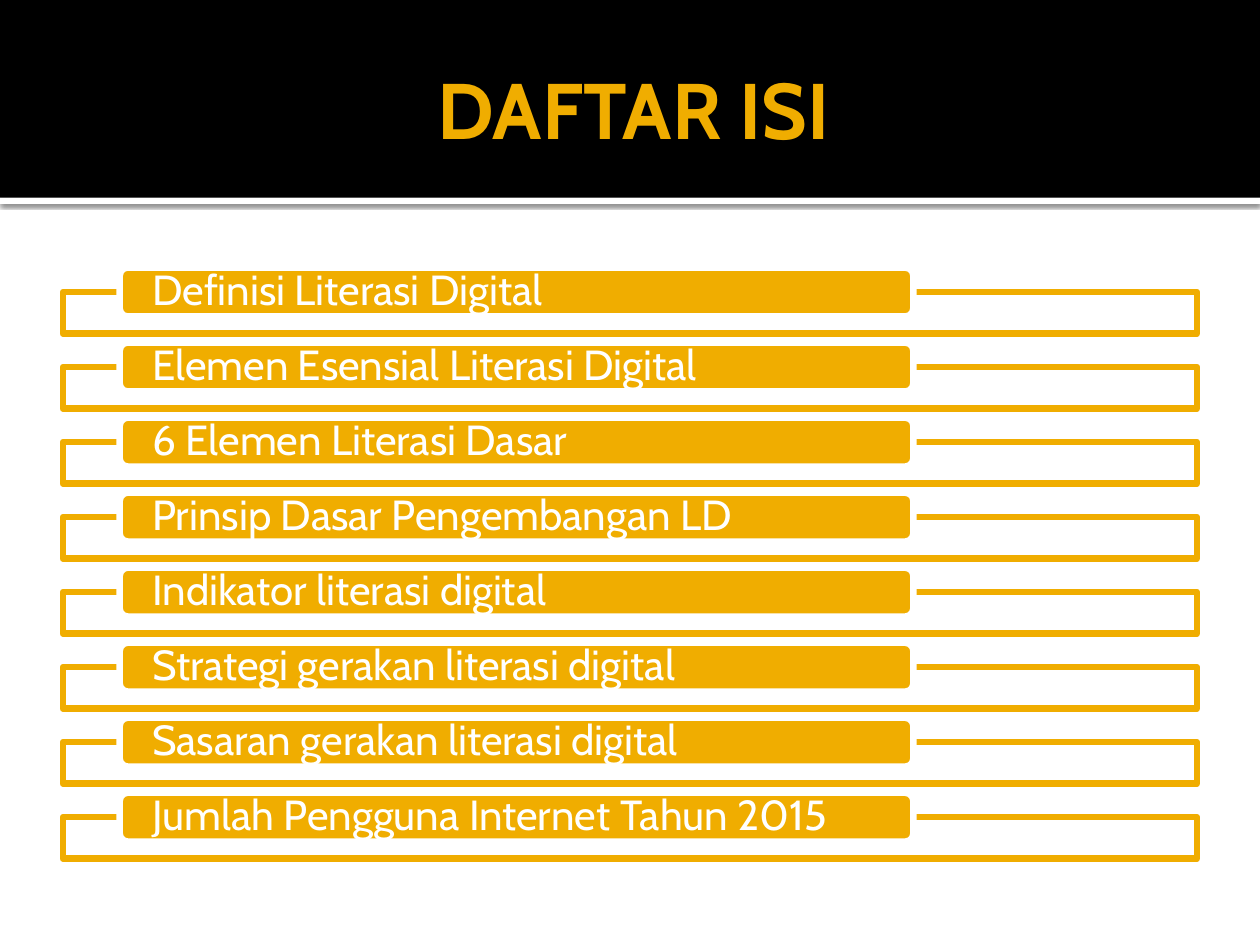
from pptx import Presentation
from pptx.dml.color import RGBColor
from pptx.enum.shapes import MSO_SHAPE as SHAPE
from pptx.enum.text import MSO_ANCHOR as ANCHOR, PP_ALIGN as ALIGN
from pptx.oxml import parse_xml
from pptx.oxml.ns import nsdecls, qn
from pptx.util import Pt

TITLE = "DAFTAR ISI"
TOPICS = [
    "Definisi Literasi Digital",
    "Elemen Esensial Literasi Digital",
    "6 Elemen Literasi Dasar",
    "Prinsip Dasar Pengembangan LD",
    "Indikator literasi digital",
    "Strategi gerakan literasi digital",
    "Sasaran gerakan literasi digital",
    "Jumlah Pengguna Internet Tahun 2015",
]

FONT = "Cabin"
GOLD = RGBColor(0xF0, 0xAD, 0x00)
WHITE = RGBColor(0xFF, 0xFF, 0xFF)
BLACK = RGBColor(0x00, 0x00, 0x00)

WIDTH, HEIGHT = 720, 540
HEADER_H, RULE_H = 113, 3.6
FRAME_X, FRAME_W, FRAME_H = 36, 648, 23.8
PILL_X, PILL_W, PILL_H = 68.4, 453.6, 28
FIRST_PILL_Y, FRAME_DROP, PITCH = 152.9, 14, 42.87
LINE_W = 3.78


def add_box(shapes, kind, x, y, w, h, fill, line=None):
    sp = shapes.add_shape(kind, Pt(x), Pt(y), Pt(w), Pt(h))
    sp.shadow.inherit = False
    sp.fill.solid()
    sp.fill.fore_color.rgb = fill
    if line is None:
        sp.line.fill.background()
    else:
        sp.line.color.rgb = line
        sp.line.width = Pt(LINE_W)
    return sp


def set_text(sp, text, size, color, align, left, right, top=0, bottom=0,
             bold=False, spacing=1.0):
    tf = sp.text_frame
    tf.word_wrap = True
    tf.vertical_anchor = ANCHOR.MIDDLE
    tf.margin_left, tf.margin_right = Pt(left), Pt(right)
    tf.margin_top, tf.margin_bottom = Pt(top), Pt(bottom)
    p = tf.paragraphs[0]
    p.alignment = align
    p.line_spacing = spacing
    r = p.add_run()
    r.text = text
    r.font.name = FONT
    r.font.size = Pt(size)
    r.font.bold = bold
    r.font.color.rgb = color


def add_shadow(sp):
    effects = sp._element.spPr.find(qn("a:effectLst"))
    effects.append(parse_xml(
        f'<a:outerShdw {nsdecls("a")} blurRad="{Pt(2.5)}" dist="{Pt(0.8)}" '
        'dir="5400000" algn="tl" rotWithShape="0"><a:srgbClr val="000000">'
        '<a:alpha val="60000"/></a:srgbClr></a:outerShdw>'))


def add_header(slide):
    shapes = slide.shapes
    rule = add_box(shapes, SHAPE.RECTANGLE, 0, HEADER_H, WIDTH, RULE_H, WHITE)
    add_shadow(rule)
    add_box(shapes, SHAPE.RECTANGLE, 0, 0, WIDTH, HEADER_H, BLACK)
    title = shapes.title
    title.left, title.top = Pt(36), Pt(12.24)
    title.width, title.height = Pt(648), Pt(98.64)
    set_text(title, TITLE, 45, GOLD, ALIGN.CENTER, 7.2, 3.6, 3.6, 3.6, bold=True)
    shapes._spTree.append(title._element)


def add_topic(slide, index, topic):
    y = FIRST_PILL_Y + index * PITCH
    frame = add_box(slide.shapes, SHAPE.RECTANGLE, FRAME_X, y + FRAME_DROP,
                    FRAME_W, FRAME_H, WHITE, GOLD)
    color = frame._element.spPr.find(qn("a:solidFill"))[0]
    color.append(parse_xml(f'<a:alpha {nsdecls("a")} val="90000"/>'))
    pill = add_box(slide.shapes, SHAPE.ROUNDED_RECTANGLE, PILL_X, y,
                   PILL_W, PILL_H, GOLD, WHITE)
    set_text(pill, topic, 24, WHITE, ALIGN.LEFT, 17.28, 17.28, spacing=0.9)


def main():
    prs = Presentation()
    prs.slide_width, prs.slide_height = Pt(WIDTH), Pt(HEIGHT)
    slide = prs.slides.add_slide(prs.slide_layouts[5])
    add_header(slide)
    for index, topic in enumerate(TOPICS):
        add_topic(slide, index, topic)
    prs.save("out.pptx")


if __name__ == "__main__":
    main()
